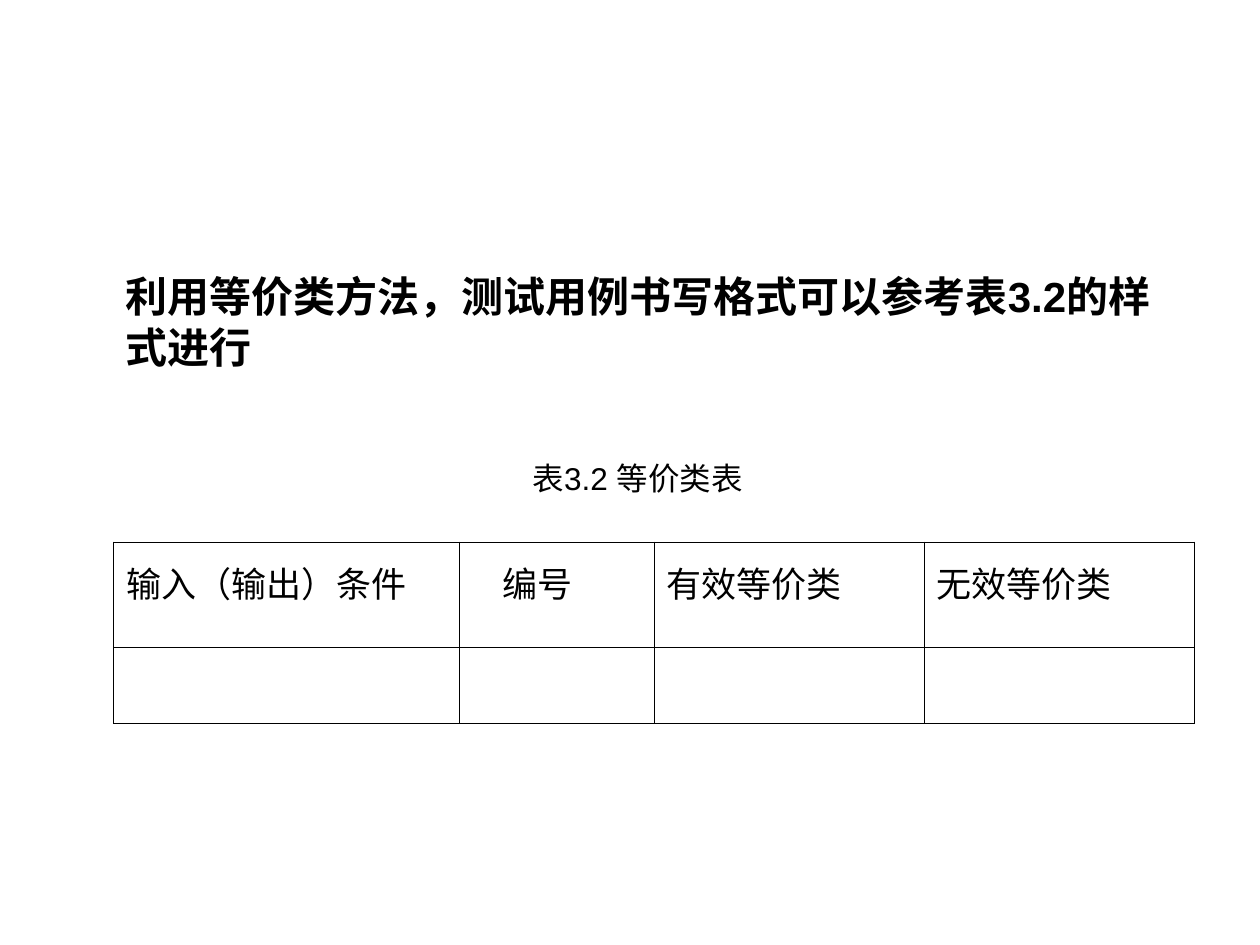
from lxml import etree
from pptx import Presentation, util as u
from pptx.dml.color import RGBColor
from pptx.oxml import ns

WIDTH, HEIGHT = 10, 7.5
INK = "000000"
HEADINGS = ["输入（输出）条件", "编号", "有效等价类", "无效等价类"]
COLUMN_SHARES = [0.32, 0.18, 0.25, 0.25]
ROW_SHARES = [0.58, 0.42]
INDENTS = [0.1, 0.34, 0.1, 0.1]


def color(value):
    return RGBColor.from_string(value)


def place(left, top, width, height):
    return [u.Inches(share * side) for share, side in
            zip((left, top, width, height), (WIDTH, HEIGHT) * 2)]


def write(frame, wording, size, font, bold=False):
    run = frame.paragraphs[0].add_run()
    run.text = wording
    run.font.size = u.Pt(size)
    run.font.name = font
    run.font.bold = bold
    run.font.color.rgb = color(INK)


def add_statement(slide, box, wording, size, bold=False):
    frame = slide.shapes.add_textbox(*place(*box)).text_frame
    frame.word_wrap = True
    write(frame, wording, size, "Arial", bold)


def outline(cell):
    properties = cell._tc.get_or_add_tcPr()
    for position, side in enumerate(("lnL", "lnR", "lnT", "lnB")):
        line = etree.Element(ns.qn(f"a:{side}"), w=str(u.Pt(0.23)))
        fill = etree.SubElement(line, ns.qn("a:solidFill"))
        etree.SubElement(fill, ns.qn("a:srgbClr"), val=INK)
        properties.insert(position, line)


def add_class_table(slide, box):
    left, top, width, height = place(*box)
    table = slide.shapes.add_table(
        len(ROW_SHARES), len(HEADINGS), left, top, width, height).table
    table.first_row = table.horz_banding = False
    for column, share in zip(table.columns, COLUMN_SHARES):
        column.width = int(width * share)
    for row, share in zip(table.rows, ROW_SHARES):
        row.height = int(height * share)
    for cell in table.iter_cells():
        cell.fill.background()
        outline(cell)
    for cell, heading, indent in zip(table.rows[0].cells, HEADINGS, INDENTS):
        cell.margin_left = u.Inches(indent)
        cell.margin_top = u.Inches(0.12)
        write(cell.text_frame, heading, 20, "Times New Roman")


def main():
    deck = Presentation()
    deck.slide_width, deck.slide_height = u.Inches(WIDTH), u.Inches(HEIGHT)
    slide = deck.slides.add_slide(deck.slide_layouts[6])
    slide.background.fill.solid()
    slide.background.fill.fore_color.rgb = color("FFFFFF")
    add_class_table(slide, (0.09, 0.5733, 0.858, 0.192))
    add_statement(slide, (0.413, 0.4787, 0.346, 0.0533), "表3.2 等价类表", 18)
    add_statement(slide, (0.09, 0.28, 0.834, 0.12),
                  "利用等价类方法，测试用例书写格式可以参考表3.2的样式进行", 24, True)
    deck.save("out.pptx")


if __name__ == "__main__":
    main()
